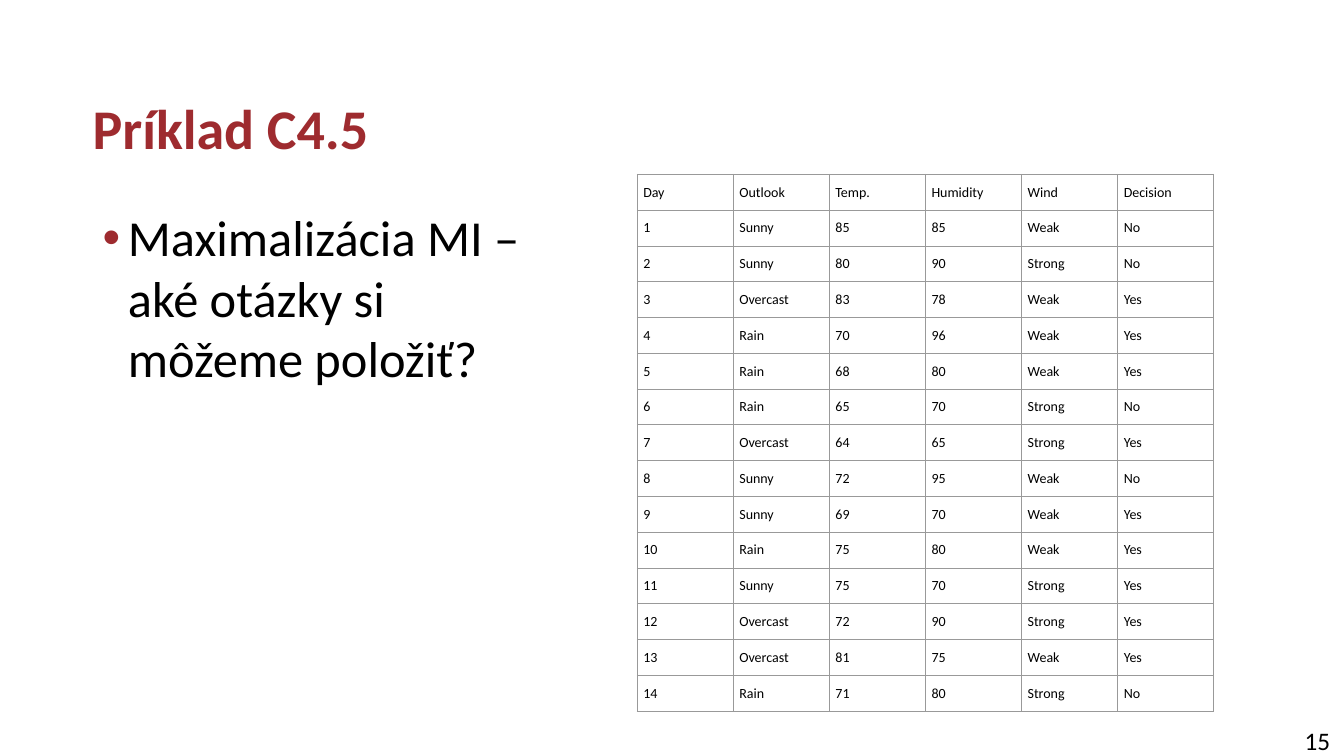
import pptx
import pptx.dml.color
import pptx.enum.text
import pptx.oxml
import pptx.oxml.ns
import pptx.util
from pptx.dml.color import RGBColor
from pptx.util import Inches

TITLE = "Príklad C4.5"
QUESTION = "Maximalizácia MI – aké otázky si môžeme položiť?"
PAGE_NUMBER = "15"
HEADINGS = ("Day", "Outlook", "Temp.", "Humidity", "Wind", "Decision")
DAYS = [
    ("Sunny", 85, 85, "Weak", "No"),
    ("Sunny", 80, 90, "Strong", "No"),
    ("Overcast", 83, 78, "Weak", "Yes"),
    ("Rain", 70, 96, "Weak", "Yes"),
    ("Rain", 68, 80, "Weak", "Yes"),
    ("Rain", 65, 70, "Strong", "No"),
    ("Overcast", 64, 65, "Strong", "Yes"),
    ("Sunny", 72, 95, "Weak", "No"),
    ("Sunny", 69, 70, "Weak", "Yes"),
    ("Rain", 75, 80, "Weak", "Yes"),
    ("Sunny", 75, 70, "Strong", "Yes"),
    ("Overcast", 72, 90, "Strong", "Yes"),
    ("Overcast", 81, 75, "Weak", "Yes"),
    ("Rain", 71, 80, "Strong", "No"),
]

FONT = "Calibri"
RED = RGBColor(0x9E, 0x2B, 0x2F)
BLACK = RGBColor(0, 0, 0)
WHITE = RGBColor(0xFF, 0xFF, 0xFF)
GRAY = RGBColor(0x99, 0x99, 0x99)
MIDDLE = pptx.enum.text.MSO_ANCHOR.MIDDLE
NAMESPACE = pptx.oxml.ns.nsdecls("a")


def style(paragraph, size, color, bold=False):
    font = paragraph.font
    font.name, font.size, font.bold = FONT, pptx.util.Pt(size), bold
    font.color.rgb = color


def add_text(slide, text, box, size, color, bold=False):
    frame = slide.shapes.add_textbox(*map(Inches, box)).text_frame
    frame.word_wrap = True
    frame.text = text
    style(frame.paragraphs[0], size, color, bold)
    return frame


def add_bullet(paragraph, color):
    properties = paragraph._p.get_or_add_pPr()
    properties.set("marL", str(Inches(0.25)))
    properties.set("indent", str(Inches(-0.25)))
    bullet = (
        f'<a:buClr {NAMESPACE}><a:srgbClr val="{color}"/></a:buClr>',
        f'<a:buFont {NAMESPACE} typeface="Arial"/>',
        f'<a:buChar {NAMESPACE} char="•"/>',
    )
    for position, xml in enumerate(bullet):
        properties.insert(position, pptx.oxml.parse_xml(xml))


def add_borders(cell, color, points):
    properties = cell._tc.get_or_add_tcPr()
    for position, side in enumerate("LRTB"):
        properties.insert(position, pptx.oxml.parse_xml(
            f'<a:ln{side} {NAMESPACE} w="{pptx.util.Pt(points)}"><a:solidFill>'
            f'<a:srgbClr val="{color}"/></a:solidFill></a:ln{side}>'))


def add_day_table(slide):
    rows = [HEADINGS] + [(number, *day) for number, day in enumerate(DAYS, 1)]
    width, height = Inches(5.72), Inches(5.33)
    table = slide.shapes.add_table(
        len(rows), len(HEADINGS), Inches(6.32), Inches(1.73), width, height).table
    table.first_row = table.horz_banding = False
    for column in table.columns:
        column.width = width // len(HEADINGS)
    for row, values in zip(table.rows, rows):
        row.height = height // len(rows)
        for cell, value in zip(row.cells, values):
            cell.text = str(value)
            style(cell.text_frame.paragraphs[0], 10, BLACK)
            cell.vertical_anchor = MIDDLE
            cell.margin_left = cell.margin_right = Inches(0.06)
            cell.margin_top = cell.margin_bottom = Inches(0.06)
            cell.fill.solid()
            cell.fill.fore_color.rgb = WHITE
            add_borders(cell, GRAY, 0.75)


def main():
    deck = pptx.Presentation()
    deck.slide_width, deck.slide_height = Inches(13.33), Inches(7.5)
    slide = deck.slides.add_slide(deck.slide_layouts[6])

    add_text(slide, PAGE_NUMBER, (12.84, 7.15, 0.49, 0.4), 18, BLACK)

    title = add_text(slide, TITLE, (0.92, 0.77, 10.53, 1.07), 40, RED, bold=True)
    title.vertical_anchor = MIDDLE
    title.margin_left = 0
    title.paragraphs[0].line_spacing = 0.9

    question = add_text(slide, QUESTION, (0.92, 2, 4.37, 4.2), 36, BLACK)
    add_bullet(question.paragraphs[0], RED)

    add_day_table(slide)
    deck.save("out.pptx")


if __name__ == "__main__":
    main()
